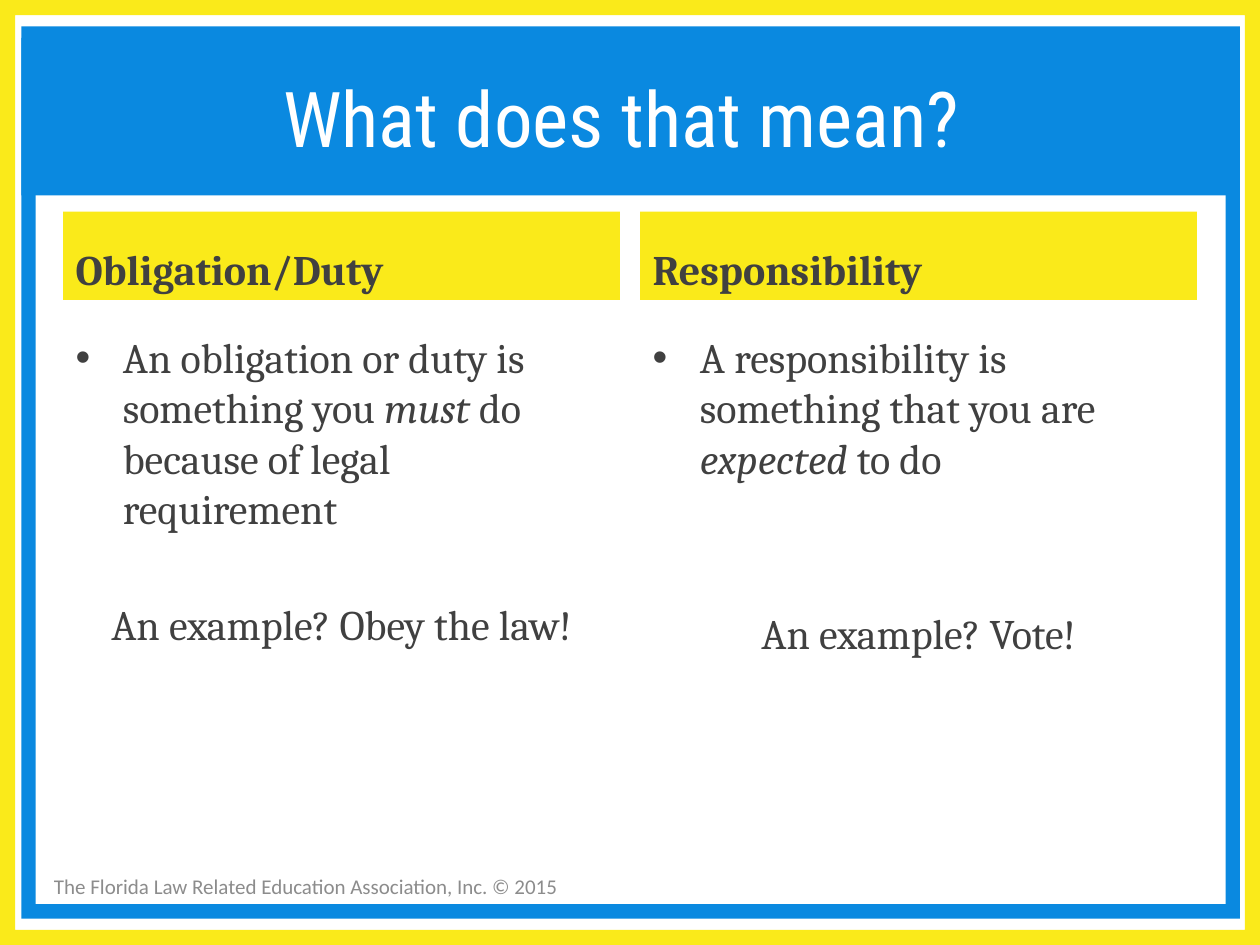
from pptx import Presentation
from pptx.dml.color import RGBColor
from pptx.enum.shapes import MSO_SHAPE as Preset
from pptx.enum.text import MSO_ANCHOR as Anchor, MSO_AUTO_SIZE as AutoSize, PP_ALIGN as Align
from pptx.oxml.ns import qn
from pptx.util import Inches, Pt
from lxml.etree import SubElement

TITLE = "What does that mean? "
FOOTER = "The Florida Law Related Education Association, Inc. © 2015"
COLUMNS = [
    {
        "heading": "Obligation/Duty",
        "definition": ("An obligation or duty is something you ", "must",
                       " do because of legal requirement"),
        "example": "An example? Obey the law!",
        "gap": 37.5,
    },
    {
        "heading": "Responsibility",
        "definition": ("A responsibility is something that you are ", "expected", " to do"),
        "example": "An example? Vote!",
        "gap": 71.5,
    },
]
YELLOW, BLUE, WHITE, DARK, GRAY = "FAEA1A", "0A89E0", "FFFFFF", "404040", "8C8C8C"
WIDTH, HEIGHT = 10, 7.5
MARGIN, COLUMN_WIDTH = 0.5, 4.42
COLUMN_STEP = WIDTH - 2 * MARGIN - COLUMN_WIDTH
FRAMES = [((0, 0, WIDTH, HEIGHT), YELLOW), ((0.17, 0.21, 9.67, 7.08), BLUE)]


def color(hex_string):
    return RGBColor.from_string(hex_string)


def fill(shape, hex_string):
    shape.fill.solid()
    shape.fill.fore_color.rgb = color(hex_string)


def place(shape, left, top, width, height):
    shape.left, shape.top = Inches(left), Inches(top)
    shape.width, shape.height = Inches(width), Inches(height)


def style(font, name, size, hex_string, bold=False):
    font.name, font.size, font.bold = name, Pt(size), bold
    font.color.rgb = color(hex_string)


def prepare(shape, box, anchor):
    place(shape, *box)
    frame = shape.text_frame
    frame.auto_size, frame.word_wrap = AutoSize.NONE, True
    frame.vertical_anchor = anchor
    return frame


def write_line(shape, box, anchor, text, *font):
    frame = prepare(shape, box, anchor)
    frame.text = text
    paragraph = frame.paragraphs[0]
    paragraph.space_before = Pt(0)
    style(paragraph.runs[0].font, *font)
    return paragraph


def write_body(shape, box, column):
    frame = prepare(shape, box, Anchor.TOP)
    definition = frame.paragraphs[0]
    definition.space_before = Pt(0)
    for index, text in enumerate(column["definition"]):
        run = definition.add_run()
        run.text = text
        style(run.font, "Cambria", 24, DARK)
        run.font.italic = index == 1
    example = frame.add_paragraph()
    example.text = column["example"]
    example.alignment = Align.CENTER
    example.space_before = Pt(column["gap"])
    properties = example._p.get_or_add_pPr()
    properties.set("marL", "0")
    properties.set("indent", "0")
    SubElement(properties, qn("a:buNone"))
    style(example.runs[0].font, "Cambria", 24, DARK)


def main():
    presentation = Presentation()
    presentation.slide_width, presentation.slide_height = Inches(WIDTH), Inches(HEIGHT)
    slide = presentation.slides.add_slide(presentation.slide_layouts.get_by_name("Comparison"))
    fill(slide.background, WHITE)
    title, *bodies = slide.placeholders

    footer = slide.shapes.add_textbox(0, 0, 0, 0)
    write_line(footer, (0.33, 6.83, 4.25, 0.4), Anchor.MIDDLE, FOOTER, "Calibri", 12, GRAY)
    title.element.addprevious(footer.element)
    for box, hex_string in FRAMES:
        border = slide.shapes.add_shape(Preset.FRAME, *map(Inches, box))
        border.adjustments[0] = 0.016
        border.shadow.inherit = False
        fill(border, hex_string)
        border.line.fill.background()
        title.element.addprevious(border.element)

    fill(title, BLUE)
    paragraph = write_line(title, (0.17, 0.3, 9.67, 1.25), Anchor.MIDDLE,
                           TITLE, "Roboto Condensed", 44, WHITE)
    paragraph.alignment = Align.CENTER

    for index, column in enumerate(COLUMNS):
        heading, body = bodies[2 * index:2 * index + 2]
        left = MARGIN + index * COLUMN_STEP
        fill(heading, YELLOW)
        write_line(heading, (left, 1.68, COLUMN_WIDTH, 0.7), Anchor.BOTTOM,
                   column["heading"], "Cambria", 24, DARK, True)
        write_body(body, (left, 2.58, COLUMN_WIDTH, 4.32), column)

    presentation.save("out.pptx")


if __name__ == "__main__":
    main()
